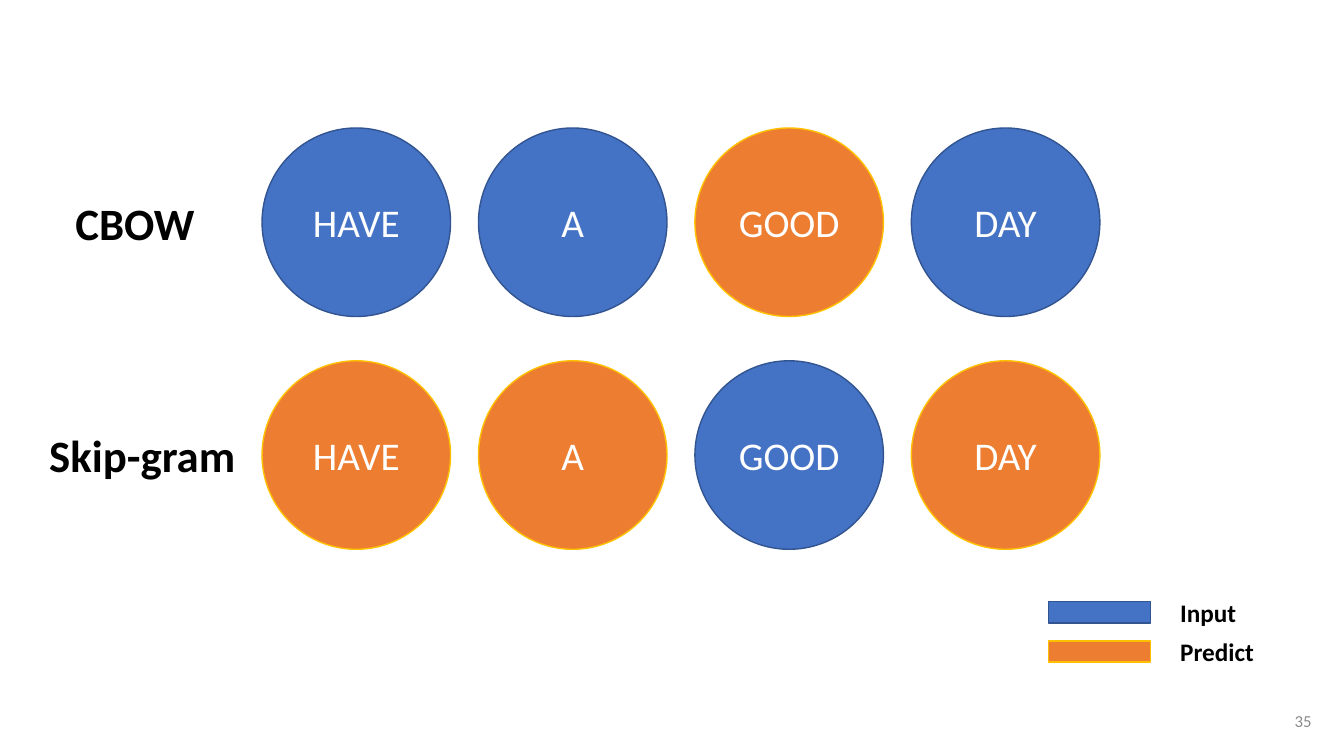
from dataclasses import dataclass

import pptx
import pptx.dml.color
import pptx.enum.shapes
import pptx.enum.text
import pptx.presentation
import pptx.shapes.autoshape
import pptx.slide
import pptx.text.text
import pptx.util

Pt = pptx.util.Pt
RGBColor = pptx.dml.color.RGBColor
Shape = pptx.enum.shapes.MSO_SHAPE
Align = pptx.enum.text.PP_ALIGN
Anchor = pptx.enum.text.MSO_ANCHOR

BLUE = RGBColor(0x44, 0x72, 0xC4)
DARK_BLUE = RGBColor(0x32, 0x54, 0x91)
ORANGE = RGBColor(0xED, 0x7D, 0x31)
GOLD = RGBColor(0xFF, 0xC0, 0x00)
WHITE = RGBColor(0xFF, 0xFF, 0xFF)
BLACK = RGBColor(0x00, 0x00, 0x00)
GRAY = RGBColor(0x8C, 0x8C, 0x8C)

WORD_FORMAT = {"name": "Calibri", "size": Pt(28)}
MODEL_FORMAT = {"name": "Calibri", "size": Pt(32), "bold": True}
LEGEND_FORMAT = {"name": "Calibri", "size": Pt(18), "bold": True}
NUMBER_FORMAT = {"name": "Calibri", "size": Pt(12)}

WORDS = ("HAVE", "A", "GOOD", "DAY")
DIAMETER = 134.64
WORDS_LEFT, WORDS_TOP = 187.2, 91.44
WORD_PITCH, MODEL_PITCH = 154.6, 166.3
LEGEND_LEFT, LEGEND_TOP, LEGEND_PITCH = 748.8, 429.84, 28


@dataclass(frozen=True)
class Box:
    left: float
    top: float
    width: float
    height: float

    def lengths(self) -> tuple[pptx.util.Length, ...]:
        return tuple(Pt(v) for v in (self.left, self.top, self.width, self.height))


@dataclass(frozen=True)
class Role:
    name: str
    fill: RGBColor
    outline: RGBColor
    label_width: float


@dataclass(frozen=True)
class Model:
    name: str
    label_left: float
    label_width: float
    roles: tuple[Role, ...]


INPUT = Role("Input", BLUE, DARK_BLUE, 54.72)
PREDICT = Role("Predict", ORANGE, GOLD, 67.68)
MODELS = (
    Model("CBOW", 46.8, 100.8, (INPUT, INPUT, PREDICT, INPUT)),
    Model("Skip-gram", 28.08, 148.32, (PREDICT, PREDICT, INPUT, PREDICT)),
)


def write(frame: pptx.text.text.TextFrame, text: str, font_format: dict,
          color: RGBColor, align: Align = Align.LEFT) -> None:
    paragraph = frame.paragraphs[0]
    paragraph.alignment = align
    run = paragraph.add_run()
    run.text = text
    for key, value in font_format.items():
        setattr(run.font, key, value)
    run.font.color.rgb = color


def add_mark(slide: pptx.slide.Slide, kind: Shape, box: Box,
             role: Role) -> pptx.shapes.autoshape.Shape:
    mark = slide.shapes.add_shape(kind, *box.lengths())
    mark.shadow.inherit = False
    mark.fill.solid()
    mark.fill.fore_color.rgb = role.fill
    mark.line.color.rgb = role.outline
    mark.line.width = Pt(1)
    return mark


def add_label(slide: pptx.slide.Slide, box: Box, text: str, font_format: dict,
              color: RGBColor = BLACK, align: Align = Align.LEFT,
              wrap: bool = False) -> None:
    frame = slide.shapes.add_textbox(*box.lengths()).text_frame
    frame.word_wrap = wrap
    frame.vertical_anchor = Anchor.MIDDLE
    write(frame, text, font_format, color, align)


def add_model(slide: pptx.slide.Slide, model: Model, top: float) -> None:
    for column, (word, role) in enumerate(zip(WORDS, model.roles)):
        circle = Box(WORDS_LEFT + column * WORD_PITCH, top, DIAMETER, DIAMETER)
        frame = add_mark(slide, Shape.OVAL, circle, role).text_frame
        frame.vertical_anchor = Anchor.MIDDLE
        write(frame, word, WORD_FORMAT, WHITE, Align.CENTER)
    label = Box(model.label_left, top + 44.3, model.label_width, 46)
    add_label(slide, label, model.name, MODEL_FORMAT)


def add_legend_entry(slide: pptx.slide.Slide, role: Role, top: float) -> None:
    add_mark(slide, Shape.RECTANGLE, Box(LEGEND_LEFT, top, 73, 15.12), role)
    label = Box(LEGEND_LEFT + 87.12, top - 7, role.label_width, 29)
    add_label(slide, label, role.name, LEGEND_FORMAT)


def main() -> None:
    deck = pptx.Presentation()
    deck.slide_width, deck.slide_height = Pt(960), Pt(540)
    slide = deck.slides.add_slide(deck.slide_layouts[6])

    # Word circles, one row per model
    for row, model in enumerate(MODELS):
        add_model(slide, model, WORDS_TOP + row * MODEL_PITCH)

    # Legend
    for row, role in enumerate((INPUT, PREDICT)):
        add_legend_entry(slide, role, LEGEND_TOP + row * LEGEND_PITCH)

    # Slide number
    add_label(slide, Box(727.92, 500.4, 216, 28.8), "35", NUMBER_FORMAT,
              GRAY, Align.RIGHT, wrap=True)

    deck.save("out.pptx")


if __name__ == "__main__":
    main()
